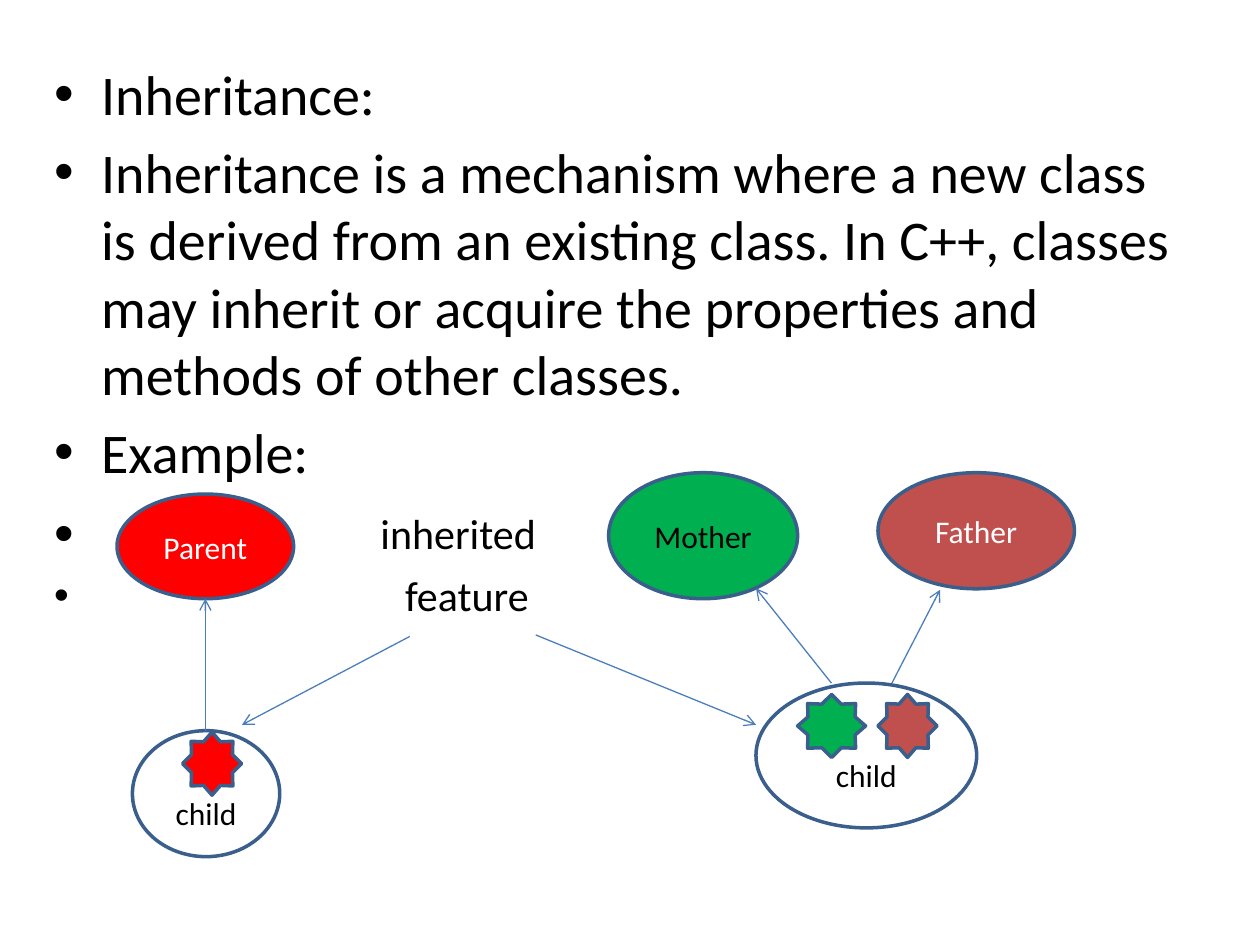
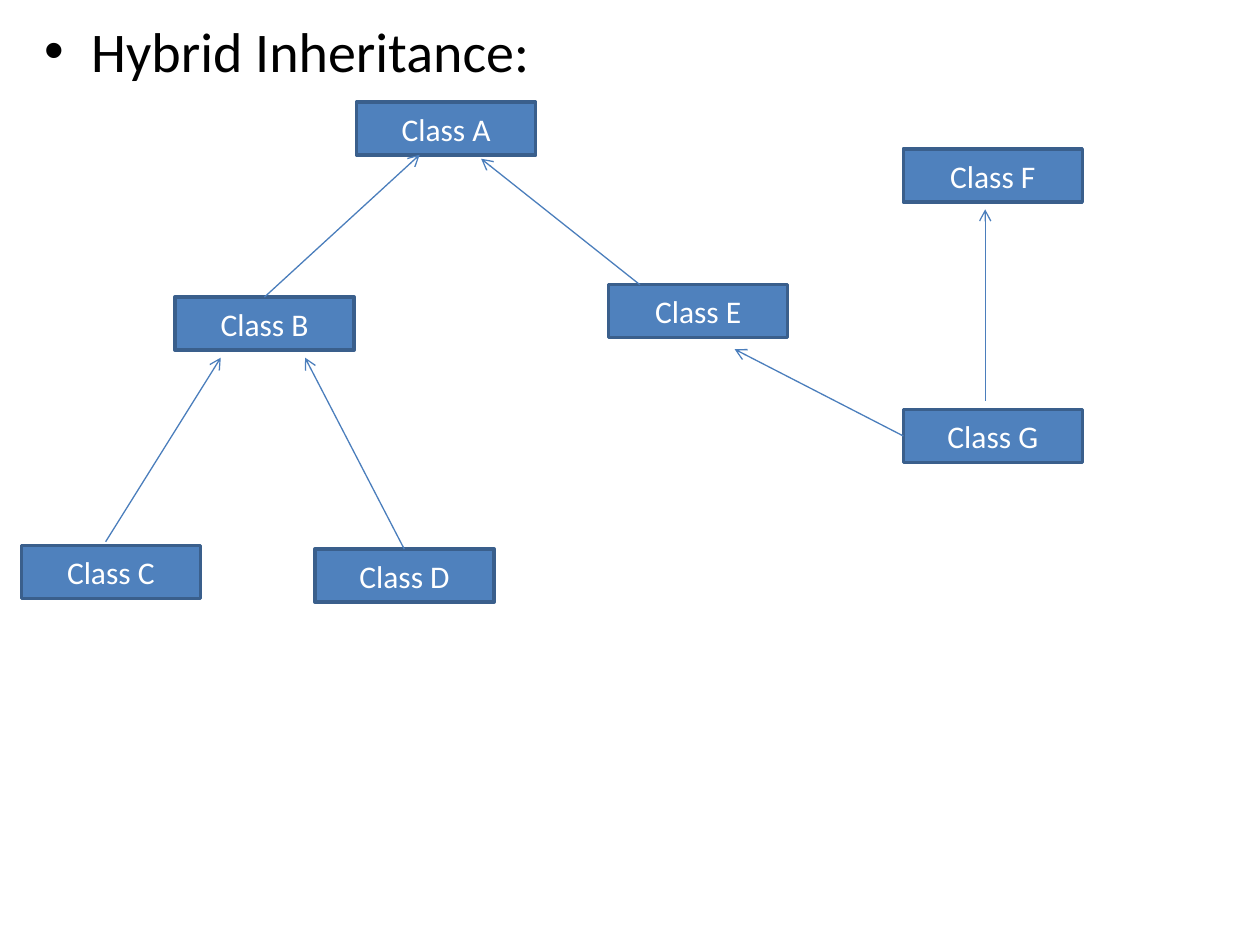
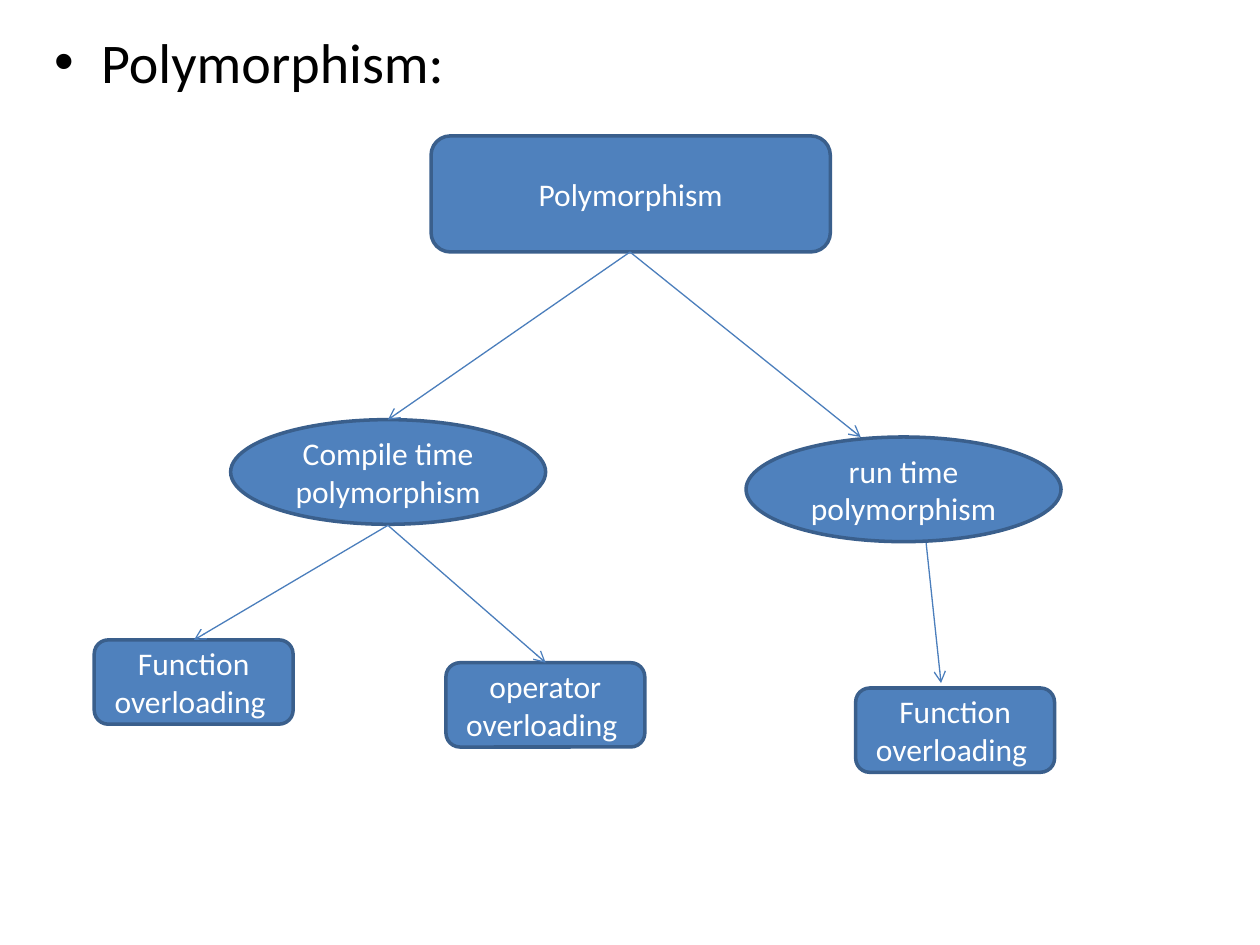
from pptx import Presentation
from pptx.dml.color import RGBColor
from pptx.enum.shapes import MSO_CONNECTOR, MSO_SHAPE
from pptx.enum.text import MSO_ANCHOR, PP_ALIGN
from pptx.oxml.ns import qn
from pptx.util import Cm, Pt
from lxml import etree

RECT = MSO_SHAPE.RECTANGLE
ROUND = MSO_SHAPE.ROUNDED_RECTANGLE
OVAL = MSO_SHAPE.OVAL
STAR = MSO_SHAPE.STAR_8_POINT
STRAIGHT = MSO_CONNECTOR.STRAIGHT
MIDDLE = MSO_ANCHOR.MIDDLE
CENTER = PP_ALIGN.CENTER

FONT = "Calibri"
COLORS = {
    "white": "FFFFFF", "black": "000000", "blue": "4F81BD",
    "outline": "3A5F8C", "arrow": "4B7EBC",
    "red": "FF0000", "green": "00B050", "brick": "C0504D",
}
HANG = 0.95  # hanging indent of a normal bullet, cm


def rgb(name):
    return RGBColor.from_string(COLORS[name])


def add_text(p, text, size=18, color="black"):
    r = p.add_run()
    r.text = text
    r.font.name = FONT
    r.font.size = Pt(size)
    r.font.color.rgb = rgb(color)


def add_bullet(p, text, size=32, before=6.4, hang=HANG, bullet_pct=100):
    """Fill a paragraph whose bullet hangs `hang` cm left of its text."""
    add_text(p, text, size)
    p.space_before = Pt(before)
    pPr = p._p.get_or_add_pPr()
    pPr.set("marL", str(Cm(hang)))
    pPr.set("indent", str(-Cm(hang)))
    etree.SubElement(pPr, qn("a:buSzPct")).set("val", str(bullet_pct * 1000))
    etree.SubElement(pPr, qn("a:buFont")).set("typeface", "Arial")
    etree.SubElement(pPr, qn("a:buChar")).set("char", "•")


def add_body(s, x, y, w, h, items):
    """Add the bulleted text; each item is a text and its format."""
    tf = s.shapes.add_textbox(Cm(x), Cm(y), Cm(w), Cm(h)).text_frame
    tf.word_wrap = True
    for i, (text, fmt) in enumerate(items):
        p = tf.add_paragraph() if i else tf.paragraphs[0]
        add_bullet(p, text, **fmt)


def add_node(s, kind, x, y, w, h, text="", fill="blue", color="white", drop=0):
    """Add an outlined shape; `drop` cm of extra top inset lowers its label."""
    sp = s.shapes.add_shape(kind, Cm(x), Cm(y), Cm(w), Cm(h))
    sp.shadow.inherit = False
    sp.fill.solid()
    sp.fill.fore_color.rgb = rgb(fill)
    sp.line.color.rgb = rgb("outline")
    sp.line.width = Pt(2)
    if text:
        tf = sp.text_frame
        tf.word_wrap = True
        tf.vertical_anchor = MIDDLE
        tf.margin_top = Cm(0.13 + drop)
        p = tf.paragraphs[0]
        p.alignment = CENTER
        add_text(p, text, color=color)


def add_arrows(s, arrows):
    for ends in arrows:
        line = s.shapes.add_connector(STRAIGHT, *(Cm(v) for v in ends))
        line.line.color.rgb = rgb("arrow")
        line.line.width = Pt(0.75)
        ln = line.line._get_or_add_ln()
        etree.SubElement(ln, qn("a:tailEnd")).set("type", "arrow")
        etree.SubElement(line._element.spPr, qn("a:effectLst"))


def build_inheritance(s):
    add_body(s, 0.84, 1.07, 23.5, 16.94, [
        ("Inheritance:", {}),
        ("Inheritance is a mechanism where a new class is derived from an "
         "existing class. In C++, classes may inherit or acquire the "
         "properties and methods of other classes.", {}),
        ("Example:", {}),
        ("inherited", dict(size=24, before=13, hang=6.58, bullet_pct=133)),
        ("feature", dict(size=24, hang=7.08)),
    ])
    # Parents and children
    add_node(s, OVAL, 2.36, 9.96, 3.56, 2.11, "Parent", "red")
    add_node(s, OVAL, 17.7, 9.53, 3.96, 2.34, "Father", "brick")
    add_node(s, OVAL, 12.27, 9.53, 3.81, 2.54, "Mother", "green", "black")
    for x, y, w, h in [(15.24, 13.77, 4.45, 2.92), (2.67, 14.73, 2.97, 2.54)]:
        add_node(s, OVAL, x, y, w, h, "child", "white", "black", drop=0.77)
    # Inherited features
    for x, y, w, fill in [(17.7, 14, 1.19, "brick"), (16.08, 14, 1.37, "green"),
                          (3.68, 14.76, 1.19, "red")]:
        add_node(s, STAR, x, y, w, 1.27, fill=fill)
    add_arrows(s, [
        (16.76, 13.77, 15.24, 11.86), (17.98, 13.77, 18.95, 11.89),
        (10.8, 12.8, 15.24, 14.61), (8.26, 12.83, 4.88, 14.61),
        (4.14, 14.73, 4.14, 12.07),
    ])


def build_hybrid(s):
    add_body(s, 0.64, 0.2, 24.13, 16.81, [("Hybrid Inheritance:", {})])
    classes = {
        "A": (7.19, 2.06), "B": (3.53, 5.99), "E": (12.27, 5.74),
        "G": (18.21, 8.26), "F": (18.21, 3), "C": (0.43, 11),
        "D": (6.35, 11.07),
    }
    for name, (x, y) in classes.items():
        add_node(s, RECT, x, y, 3.61, 1.07, f"Class {name}")
    add_arrows(s, [
        (5.33, 5.99, 8.46, 3.12), (12.9, 5.74, 9.7, 3.2),
        (2.13, 10.92, 4.45, 7.21), (8.15, 11.07, 6.15, 7.21),
        (19.86, 8.08, 19.86, 4.22), (18.21, 8.79, 14.81, 7.04),
    ])


def build_polymorphism(s):
    add_body(s, 0.84, 0.43, 23.29, 17.98, [("Polymorphism:", {})])
    add_node(s, ROUND, 8.69, 2.74, 8.05, 2.34, "Polymorphism")
    # Two types
    for x, y, text in [(4.65, 8.46, "Compile time polymorphism"),
                       (15.04, 8.81, "run time polymorphism")]:
        add_node(s, OVAL, x, y, 6.35, 2.11, text)
    # Their techniques
    for x, y, text in [(1.9, 12.9, "Function overloading "),
                       (8.99, 13.36, "operator overloading "),
                       (17.25, 13.87, "Function overloading ")]:
        add_node(s, ROUND, x, y, 4.01, 1.7, text)
    add_arrows(s, [
        (12.7, 5.08, 7.82, 8.46), (12.7, 5.08, 17.35, 8.81),
        (7.82, 10.59, 3.91, 12.9), (7.82, 10.59, 11, 13.36),
        (18.67, 10.95, 18.97, 13.77),
    ])


def main():
    prs = Presentation()
    prs.slide_width, prs.slide_height = Cm(25.4), Cm(19.05)
    for build in (build_inheritance, build_hybrid, build_polymorphism):
        build(prs.slides.add_slide(prs.slide_layouts[6]))
    prs.save("out.pptx")


main()
